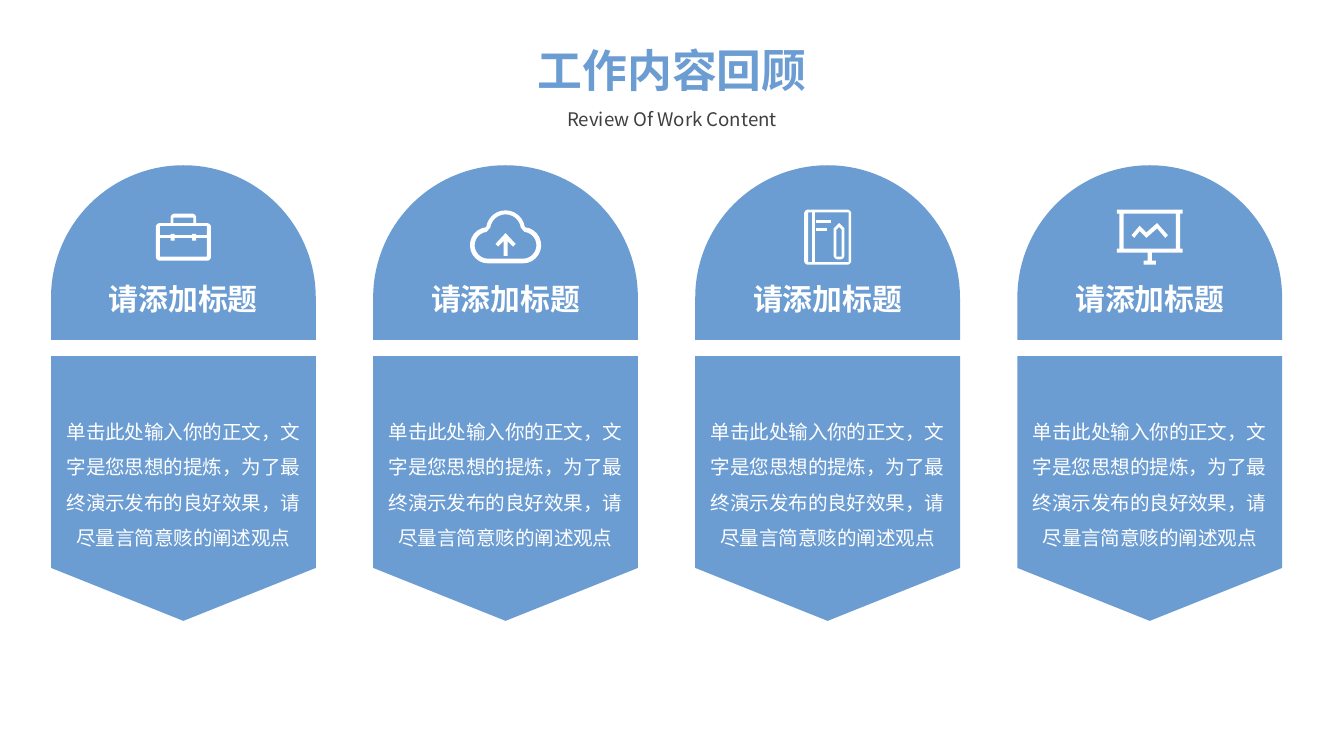
from math import cos, radians, sin

from lxml import etree
from pptx import Presentation
from pptx.dml.color import RGBColor
from pptx.enum.shapes import MSO_SHAPE
from pptx.enum.text import MSO_AUTO_SIZE, PP_ALIGN
from pptx.oxml.ns import qn
from pptx.util import Inches, Pt

BLUE = RGBColor(0x6B, 0x9D, 0xD3)
WHITE = RGBColor(0xFF, 0xFF, 0xFF)
GREY = RGBColor(0x40, 0x40, 0x40)
POINTER = MSO_SHAPE.FLOWCHART_OFFPAGE_CONNECTOR
CENTER = PP_ALIGN.CENTER
GROW = MSO_AUTO_SIZE.SHAPE_TO_FIT_TEXT
CJK_FONT = "Noto Sans CJK SC"

HEADING = dict(size=Pt(24), name=CJK_FONT, bold=True)
SUBHEADING = dict(size=Pt(10), name=CJK_FONT)
CARD_TITLE = dict(size=Pt(16), name=CJK_FONT, bold=True)
CARD_BODY = dict(size=Pt(10.5), name="Calibri")

CARD_W = 1.97
CARD_LEFT, CARD_RIGHT, CARD_TOP = 0.38, 9.54, 1.23
ICON_MIDDLE = 0.535
TITLE = "请添加标题"
BODY = "单击此处输入你的正文，文字是您思想的提炼，为了最终演示发布的良好效果，请尽量言简意赅的阐述观点"


def arc(cx, cy, r, start, end, steps=12):
    """Points along a circle; angles in degrees, clockwise from the right."""
    angles = [radians(start + (end - start) * i / steps) for i in range(steps + 1)]
    return [(cx + r * cos(a), cy + r * sin(a)) for a in angles]


def rect(x, y, w, h, r=0):
    """Corner points of a rectangle, rounded when r is given."""
    if not r:
        return [(x, y), (x + w, y), (x + w, y + h), (x, y + h)]
    return (arc(x + r, y + r, r, 180, 270) + arc(x + w - r, y + r, r, 270, 360)
            + arc(x + w - r, y + h - r, r, 0, 90) + arc(x + r, y + h - r, r, 90, 180))


def paint(sp, color):
    sp.fill.solid()
    sp.fill.fore_color.rgb = color
    sp.line.fill.background()
    sp.shadow.inherit = False


def add_outline(s, left, top, contours, color):
    """One filled freeform; a contour inside another cuts a hole."""
    placed = [[(Inches(left + x), Inches(top + y)) for x, y in c] for c in contours]
    builder = s.shapes.build_freeform(*placed[0][0])
    builder.add_line_segments(placed[0][1:])
    for contour in placed[1:]:
        builder.move_to(*contour[0])
        builder.add_line_segments(contour[1:])
    paint(builder.convert_to_shape(), color)


def add_text(s, box, text, style, color, wrap=True, spacing=None):
    tf = s.shapes.add_textbox(*map(Inches, box)).text_frame
    tf.word_wrap = wrap
    tf.auto_size = GROW
    p = tf.paragraphs[0]
    p.alignment = CENTER
    p.line_spacing = spacing
    r = p.add_run()
    r.text = text
    for key, value in style.items():
        setattr(r.font, key, value)
    r.font.color.rgb = color
    if style["name"] == CJK_FONT:
        ea = etree.SubElement(r.font._element, qn("a:ea"))
        ea.set("typeface", CJK_FONT)


def briefcase(s, cx, cy):
    handle = (arc(0.14, 0.03, 0.03, 180, 270) + arc(0.27, 0.03, 0.03, 270, 360)
              + [(0.3, 0.07), (0.11, 0.07)])
    clasps = [rect(x, y, 0.03, h) for x in (0.11, 0.27)
              for y, h in ((0.15, 0.01), (0.18, 0.02))]
    add_outline(s, cx - 0.205, cy - 0.175, [
        rect(0, 0.07, 0.41, 0.28, 0.03), rect(0.03, 0.09, 0.35, 0.07),
        rect(0.03, 0.18, 0.35, 0.14), handle, rect(0.13, 0.03, 0.15, 0.04), *clasps,
    ], WHITE)


def cloud_upload(s, cx, cy):
    def cloud(side_r, top_r):
        return (arc(0.135, 0.26, side_r, 90, 264) + arc(0.265, 0.145, top_r, 188, 352)
                + arc(0.395, 0.26, side_r, 276, 450))

    arrow = [(0.19, 0.25), (0.21, 0.27), (0.25, 0.23), (0.25, 0.34), (0.28, 0.34),
             (0.28, 0.23), (0.32, 0.27), (0.34, 0.25), (0.265, 0.17)]
    left, top = cx - 0.265, cy - 0.2
    add_outline(s, left, top, [arrow], WHITE)
    add_outline(s, left, top, [cloud(0.135, 0.145), cloud(0.1, 0.115)], WHITE)


def notebook(s, cx, cy):
    left, top = cx - 0.175, cy - 0.205
    add_outline(s, left, top, [
        rect(0, 0, 0.35, 0.41, 0.03), rect(0.03, 0.02, 0.03, 0.37),
        rect(0.08, 0.02, 0.25, 0.37),
    ], WHITE)
    for y, w in ((0.14, 0.08), (0.08, 0.11)):
        add_outline(s, left, top, [rect(0.09, y, w, 0.02)], WHITE)
    pencil = [(0.22, 0.14), (0.26, 0.1), (0.3, 0.14)]
    pencil += arc(0.27, 0.34, 0.03, 0, 90) + arc(0.25, 0.34, 0.03, 90, 180)
    core = [(0.24, 0.15), (0.26, 0.13), (0.28, 0.15), (0.28, 0.35), (0.24, 0.35)]
    add_outline(s, left, top, [pencil, core], WHITE)


def chart_board(s, cx, cy):
    left, top = cx - 0.245, cy - 0.205
    trend = [(0.3, 0.1), (0.22, 0.17), (0.17, 0.12), (0.11, 0.19), (0.13, 0.21),
             (0.17, 0.16), (0.22, 0.21), (0.3, 0.14), (0.36, 0.21), (0.38, 0.19)]
    add_outline(s, left, top, [trend], WHITE)
    add_outline(s, left, top, [
        rect(0, 0, 0.49, 0.03), rect(0.02, 0.03, 0.45, 0.26),
        rect(0.05, 0.03, 0.39, 0.26), rect(0, 0.29, 0.49, 0.03),
        rect(0.23, 0.32, 0.03, 0.06), rect(0.2, 0.38, 0.09, 0.03),
    ], WHITE)


def add_card(s, left, top, w, icon):
    r = w / 2
    arch = arc(r, r, r, 180, 360, 60) + [(w, 1.3), (0, 1.3)]
    add_outline(s, left, top, [arch], BLUE)
    paint(s.shapes.add_shape(POINTER, *map(Inches, (left, top + 1.42, w, w))), BLUE)
    add_text(s, (left + 0.33, top + 0.81, w - 0.66, 0.37), TITLE, CARD_TITLE, WHITE, wrap=False)
    add_text(s, (left - 0.055, top + 1.76, w + 0.11, 1.16), BODY, CARD_BODY, WHITE, spacing=1.5)
    icon(s, left + r, top + ICON_MIDDLE)


def add_header(s, cx, top):
    add_text(s, (cx - 1.11, top, 2.22, 0.5), "工作内容回顾", HEADING, BLUE, wrap=False)
    add_text(s, (cx - 0.97, top + 0.4, 1.94, 0.32), "Review Of Work Content",
             SUBHEADING, GREY, spacing=1.5)


def main():
    prs = Presentation()
    prs.slide_width = Inches(10)
    prs.slide_height = prs.slide_width * 9 // 16
    s = prs.slides.add_slide(prs.slide_layouts[6])
    icons = (briefcase, cloud_upload, notebook, chart_board)
    pitch = (CARD_RIGHT - CARD_LEFT - CARD_W) / (len(icons) - 1)
    for i, icon in enumerate(icons):
        add_card(s, CARD_LEFT + i * pitch, CARD_TOP, CARD_W, icon)
    add_header(s, 5, 0.27)
    prs.save("out.pptx")


if __name__ == "__main__":
    main()
